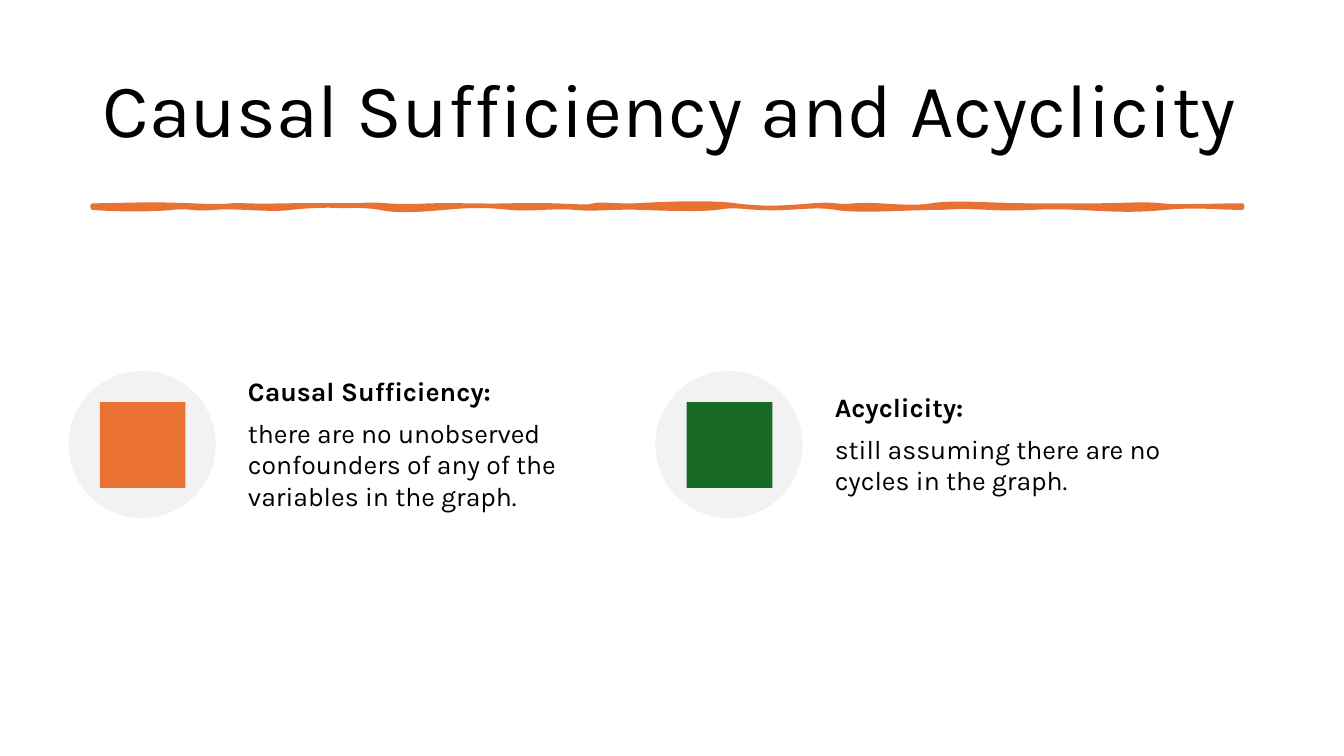
from dataclasses import dataclass

from pptx import Presentation
from pptx.dml.color import RGBColor
from pptx.enum.shapes import MSO_SHAPE as Shape
from pptx.enum.text import MSO_ANCHOR as Anchor
from pptx.oxml.ns import qn
from pptx.util import Inches, Pt


@dataclass(frozen=True)
class Theme:
    font: str = "Karla"
    ink: str = "000000"
    orange: str = "E97132"
    green: str = "196B24"
    disc: str = "F2F2F2"
    title_size: float = 54
    body_size: float = 19
    rule_width: float = 3.25


RULE_LEFT, RULE_RIGHT = 0.92, 12.32
RULE_TOP, RULE_BOTTOM = 2.04, 2.06
TOP_WAVES = [
    (1.44, 2.02, 1.9), (2.2, 2.03, 2.44), (3.03, 2.03, 3.31), (3.59, 2.02, 3.84),
    (4.23, 2.03, 4.6), (5.14, 2.03, 5.48), (5.81, 2.06, 5.89), (6.15, 2.05, 6.31),
    (7.01, 2.0, 7.3), (7.81, 2.06, 8.06), (8.27, 2.06, 8.48), (9.01, 2.08, 9.24),
    (9.82, 2.04, 10.23), (10.63, 2.04, 10.87), (11.36, 2.02, 11.52),
    (12.03, 2.04, RULE_RIGHT),
]
BOTTOM_WAVES = [
    (11.89, 2.03, 11.56), (11.1, 2.08, 10.68), (10.23, 2.08, 9.81), (9.52, 2.06, 9.28),
    (8.51, 2.1, 8.29), (7.82, 2.08, 7.53), (7.25, 2.04, 7.11), (6.61, 2.07, 6.35),
    (5.9, 2.08, 5.7), (5.28, 2.08, 5.06), (4.73, 2.03, 4.41), (3.9, 2.09, 3.77),
    (3.1, 2.03, 2.89), (2.35, 2.04, 2.13), (1.89, 2.04, 1.71), (1.14, 2.08, RULE_LEFT),
]


def smooth_edge(y, control_x, waves):
    points = []
    control_y = y
    for end_control_x, end_control_y, x in waves:
        points += [(control_x, control_y), (end_control_x, end_control_y), (x, y)]
        control_x, control_y = 2 * x - end_control_x, 2 * y - end_control_y
    return points


def bend_segments(shape):
    segments = list(shape.element.iter(qn("a:lnTo")))
    for first, second, end in zip(*[iter(segments)] * 3):
        first.tag = qn("a:cubicBezTo")
        for segment in (second, end):
            first.append(segment[0])
            segment.getparent().remove(segment)


class SlideBuilder:
    def __init__(self, page, theme):
        self.page = page
        self.theme = theme

    def paint(self, shape, color, line_width=None):
        shape.shadow.inherit = False
        shape.fill.solid()
        shape.fill.fore_color.rgb = RGBColor.from_string(color)
        if line_width is None:
            shape.line.fill.background()
        else:
            shape.line.color.rgb = RGBColor.from_string(color)
            shape.line.width = Pt(line_width)

    def shape(self, kind, left, top, size, color):
        lengths = map(Inches, (left, top, size, size))
        self.paint(self.page.shapes.add_shape(kind, *lengths), color)

    def wavy_rule(self):
        corner = (RULE_RIGHT, RULE_BOTTOM)
        edge = smooth_edge(RULE_TOP, 1.19, TOP_WAVES) + [corner] * 3
        edge += smooth_edge(RULE_BOTTOM, 12.05, BOTTOM_WAVES)
        outline = self.page.shapes.build_freeform(Inches(RULE_LEFT), Inches(RULE_TOP))
        outline.add_line_segments([(Inches(x), Inches(y)) for x, y in edge], close=True)
        rule = outline.convert_to_shape()
        bend_segments(rule)
        self.paint(rule, self.theme.orange, self.theme.rule_width)

    def text(self, place, lines, size, frame_format, para_format):
        box = self.page.shapes.add_textbox(*map(Inches, place))
        frame = box.text_frame
        for name, value in {"word_wrap": True, "vertical_anchor": Anchor.MIDDLE,
                            **frame_format}.items():
            setattr(frame, name, value)
        for index, (words, bold) in enumerate(lines):
            para = frame.add_paragraph() if index else frame.paragraphs[0]
            for name, value in para_format.items():
                setattr(para, name, value)
            span = para.add_run()
            span.text = words
            for name, value in {"name": self.theme.font, "size": Pt(size),
                                "bold": bold}.items():
                setattr(span.font, name, value)
            span.font.color.rgb = RGBColor.from_string(self.theme.ink)

    def title(self, words):
        self.text((0.92, 0.4, 11.5, 1.45), [(words, False)], self.theme.title_size,
                  {}, {"line_spacing": 0.9})

    def assumption(self, left, color, heading, body):
        top, disc_size, icon_size, inset = 3.68, 1.46, 0.85, 0.31
        self.shape(Shape.OVAL, left, top, disc_size, self.theme.disc)
        self.shape(Shape.RECTANGLE, left + inset, top + inset, icon_size, color)
        margins = {f"margin_{side}": 0 for side in ("left", "top", "right", "bottom")}
        self.text((left + 1.78, top, 3.44, disc_size), [(heading, True), (body, False)],
                  self.theme.body_size, margins,
                  {"line_spacing": 0.98, "space_after": Pt(7.5)})


def main():
    deck = Presentation()
    deck.slide_width, deck.slide_height = Inches(13.33), Inches(7.5)
    theme = Theme()
    builder = SlideBuilder(deck.slides.add_slide(deck.slide_layouts[6]), theme)
    builder.title("Causal Sufficiency and Acyclicity")
    builder.wavy_rule()
    builder.assumption(0.68, theme.orange, "Causal Sufficiency:",
                       "there are no unobserved confounders of any of the variables in the graph.")
    builder.assumption(6.5, theme.green, "Acyclicity:",
                       "still assuming there are no cycles in the graph.")
    deck.save("out.pptx")


if __name__ == "__main__":
    main()
